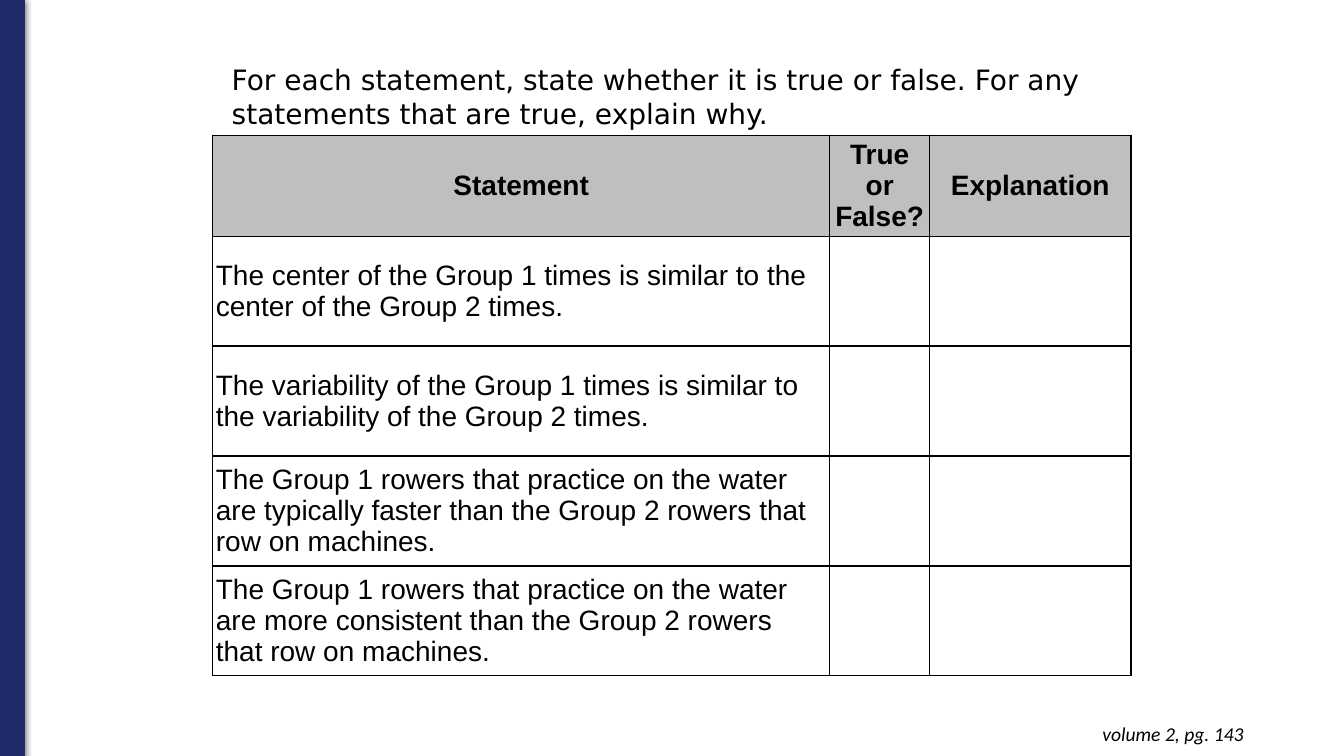
import pptx
import pptx.util
from lxml import etree
from pptx.dml.color import RGBColor
from pptx.enum.shapes import MSO_SHAPE
from pptx.enum.text import MSO_ANCHOR, MSO_AUTO_SIZE, PP_ALIGN
from pptx.oxml.ns import qn
from pptx.util import Cm

INSTRUCTION = ("For each statement, state whether it is true or false. "
               "For any statements that are true, explain why.")
HEADERS = ["Statement", "True or False?", "Explanation"]
STATEMENTS = [
    "The center of the Group 1 times is similar to the center of the Group 2 times.",
    "The variability of the Group 1 times is similar to the variability of the Group 2 times.",
    "The Group 1 rowers that practice on the water are typically faster than "
    "the Group 2 rowers that row on machines.",
    "The Group 1 rowers that practice on the water are more consistent than "
    "the Group 2 rowers that row on machines.",
]
SOURCE_NOTE = "volume 2, pg. 143"

NAVY = RGBColor(0x20, 0x2B, 0x6A)
GRAY = RGBColor(0xBF, 0xBF, 0xBF)
WHITE = RGBColor(0xFF, 0xFF, 0xFF)
BLACK = RGBColor(0, 0, 0)

COLUMN_WIDTHS = [Cm(15.55), Cm(2.52), Cm(5.07)]
ROW_HEIGHTS = [Cm(2.54)] + [Cm(2.77)] * len(STATEMENTS)


def write_text(frame, text, font="Arial", size=20, bold=False, italic=False,
               align=PP_ALIGN.LEFT):
    """Write one formatted paragraph into a text frame."""
    para = frame.paragraphs[0]
    para.alignment = align
    span = para.add_run()
    span.text = text
    span.font.name = font
    span.font.size = pptx.util.Pt(size)
    span.font.bold = bold
    span.font.italic = italic
    span.font.color.rgb = BLACK


def set_frame(frame, side, top):
    """Wrap a text frame from its top edge with the given margins."""
    frame.word_wrap = True
    frame.auto_size = MSO_AUTO_SIZE.NONE
    frame.vertical_anchor = MSO_ANCHOR.TOP
    frame.margin_left = frame.margin_right = side
    frame.margin_top = frame.margin_bottom = top


def add_color(parent, color):
    """Append an sRGB colour in a DrawingML parent and return it."""
    return etree.SubElement(parent, qn("a:srgbClr"), val=str(color))


def add_side_bar(page, height):
    """Draw the navy bar with its soft shadow."""
    bar = page.shapes.add_shape(MSO_SHAPE.RECTANGLE, 0, Cm(-0.02), Cm(0.62), height + Cm(0.02))
    bar.fill.solid()
    bar.fill.fore_color.rgb = NAVY
    bar.line.color.rgb = NAVY
    bar.line.width = pptx.util.Pt(0.75)
    bar.shadow.inherit = False
    effects = bar.element.spPr.find(qn("a:effectLst"))
    shadow = etree.SubElement(effects, qn("a:outerShdw"), blurRad=str(pptx.util.Pt(4.5)),
                              dist=str(pptx.util.Pt(1.5)), dir="5400000", rotWithShape="0")
    etree.SubElement(add_color(shadow, BLACK), qn("a:alpha"), val="50000")


def format_cell(cell, fill):
    """Set a cell's fill, margins and black borders."""
    cell.vertical_anchor = MSO_ANCHOR.MIDDLE
    cell.margin_left = cell.margin_right = Cm(0.08)
    cell.margin_top = cell.margin_bottom = 0
    properties = cell._tc.get_or_add_tcPr()
    for side in ("a:lnL", "a:lnR", "a:lnT", "a:lnB"):
        border = etree.SubElement(properties, qn(side), w=str(pptx.util.Pt(1)))
        add_color(etree.SubElement(border, qn("a:solidFill")), BLACK)
    cell.fill.solid()
    cell.fill.fore_color.rgb = fill


def add_statement_table(page):
    """Build the statement table with blank answer cells."""
    rows = [HEADERS] + [[statement, "", ""] for statement in STATEMENTS]
    table = page.shapes.add_table(len(rows), len(HEADERS), Cm(5.36), Cm(3.41),
                                  sum(COLUMN_WIDTHS), sum(ROW_HEIGHTS)).table
    table.horz_banding = False
    for column, width in zip(table.columns, COLUMN_WIDTHS):
        column.width = width
    for index, (row, height, texts) in enumerate(zip(table.rows, ROW_HEIGHTS, rows)):
        row.height = height
        header = index == 0
        for cell, text in zip(row.cells, texts):
            format_cell(cell, GRAY if header else WHITE)
            if text:
                write_text(cell.text_frame, text, bold=header,
                           align=PP_ALIGN.CENTER if header else PP_ALIGN.LEFT)


def main():
    """Build and save the slide."""
    deck = pptx.Presentation()
    deck.slide_width, deck.slide_height = Cm(33.87), Cm(19.05)
    page = deck.slides.add_slide(deck.slide_layouts[5])
    add_side_bar(page, deck.slide_height)

    title = page.shapes.title
    title.left, title.top, title.width, title.height = Cm(5.59), Cm(1.45), Cm(23.14), Cm(1.96)
    set_frame(title.text_frame, Cm(0.25), Cm(0.13))
    write_text(title.text_frame, INSTRUCTION, font="DejaVu Sans")

    add_statement_table(page)

    note = page.shapes.add_textbox(Cm(24.28), Cm(17.93), Cm(7.32), Cm(1.12))
    set_frame(note.text_frame, Cm(0.25), Cm(0.25))
    write_text(note.text_frame, SOURCE_NOTE, font="Calibri", size=14, italic=True,
               align=PP_ALIGN.RIGHT)
    deck.save("out.pptx")


if __name__ == "__main__":
    main()
